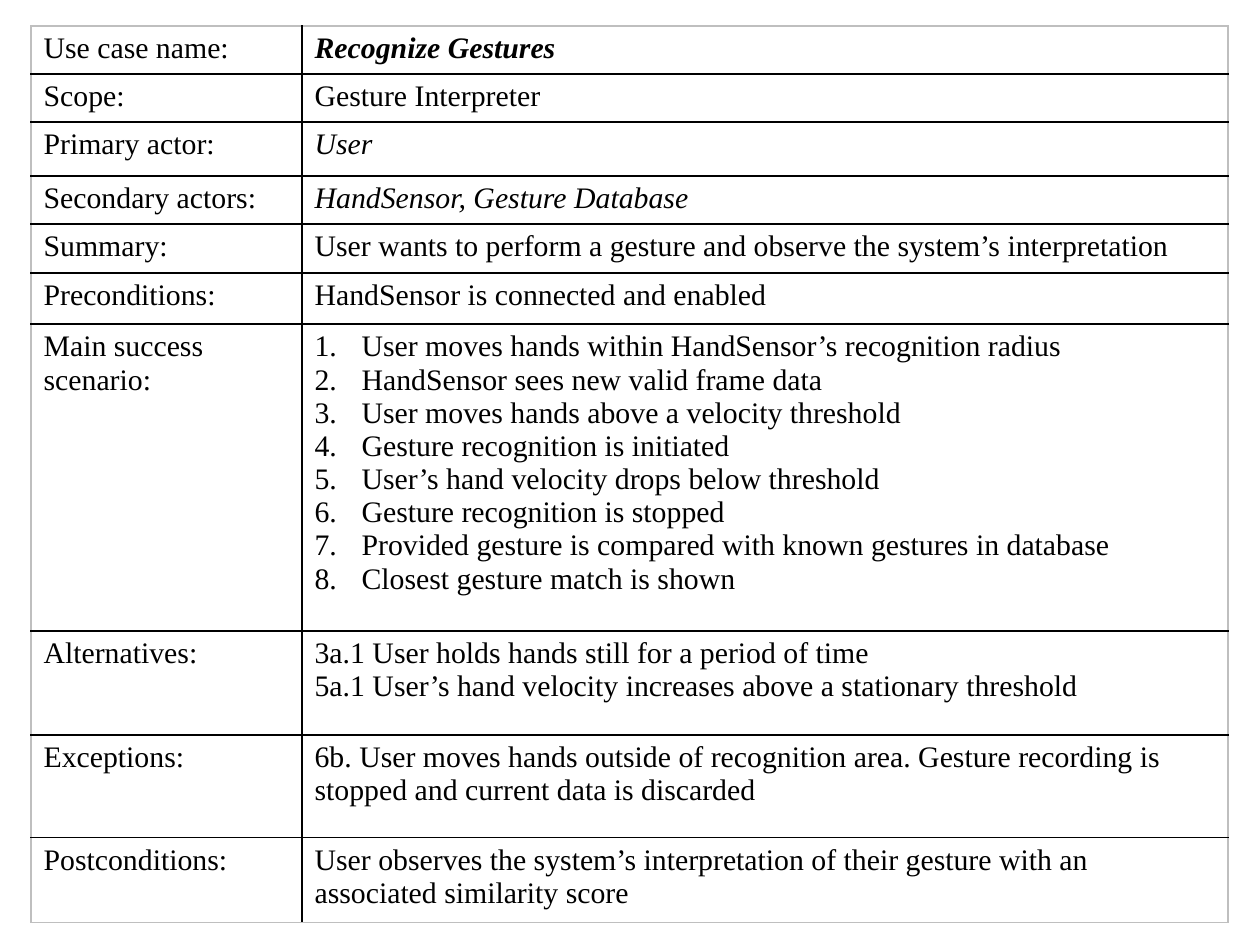
import dataclasses

import lxml.etree
import pptx
import pptx.dml.color
import pptx.oxml.ns
import pptx.util

SCALE = 914400 / 126
FONT = {"name": "Times New Roman", "size": pptx.util.Pt(17)}
INK, EDGE, PAPER = "000000", "BFBFBF", "FFFFFF"
INDENT = 47
COLUMN_WIDTHS = (271, 926)


@dataclasses.dataclass(frozen=True)
class UseCaseRow:
    """One labelled field of the use case."""

    label: str
    lines: tuple[str, ...]
    height: int
    style: dict = dataclasses.field(default_factory=dict)
    numbered: bool = False


ROWS = (
    UseCaseRow("Use case name:", ("Recognize Gestures",), 48, {"bold": True, "italic": True}),
    UseCaseRow("Scope:", ("Gesture Interpreter",), 48),
    UseCaseRow("Primary actor:", ("User",), 54, {"italic": True}),
    UseCaseRow("Secondary actors:", ("HandSensor, Gesture Database",), 48, {"italic": True}),
    UseCaseRow("Summary:", ("User wants to perform a gesture and observe the system’s interpretation",), 49),
    UseCaseRow("Preconditions:", ("HandSensor is connected and enabled",), 51),
    UseCaseRow(
        "Main success scenario:",
        (
            "User moves hands within HandSensor’s recognition radius",
            "HandSensor sees new valid frame data",
            "User moves hands above a velocity threshold",
            "Gesture recognition is initiated",
            "User’s hand velocity drops below threshold",
            "Gesture recognition is stopped",
            "Provided gesture is compared with known gestures in database",
            "Closest gesture match is shown",
        ),
        307,
        numbered=True,
    ),
    UseCaseRow(
        "Alternatives:",
        (
            "3a.1 User holds hands still for a period of time",
            "5a.1 User’s hand velocity increases above a stationary threshold",
        ),
        104,
    ),
    UseCaseRow(
        "Exceptions:",
        (
            "6b. User moves hands outside of recognition area. "
            "Gesture recording is stopped and current data is discarded",
        ),
        103,
    ),
    UseCaseRow(
        "Postconditions:",
        ("User observes the system’s interpretation of their gesture with an associated similarity score",),
        85,
    ),
)


def px(length: int) -> int:
    """Turn px into EMU."""
    return round(length * SCALE)


def color(value: str) -> pptx.dml.color.RGBColor:
    """Turn a hex string into a colour."""
    return pptx.dml.color.RGBColor.from_string(value)


def add_child(parent, tag: str, **attributes: str):
    """Append a DrawingML element."""
    return lxml.etree.SubElement(parent, pptx.oxml.ns.qn(tag), attributes)


def draw_borders(cell, sides: dict[str, str]) -> None:
    """Give each side of a cell a one-point line."""
    properties = cell._tc.get_or_add_tcPr()
    for position, (side, value) in enumerate(sides.items()):
        line = add_child(properties, f"a:ln{side}", w=str(pptx.util.Pt(1)))
        add_child(add_child(line, "a:solidFill"), "a:srgbClr", val=value)
        properties.insert(position, line)


def number_paragraph(para) -> None:
    """Make a paragraph an item of a numbered list."""
    properties = para._p.get_or_add_pPr()
    properties.set("marL", str(px(INDENT)))
    properties.set("indent", str(-px(INDENT)))
    add_child(properties, "a:buFont", typeface="+mj-lt")
    add_child(properties, "a:buAutoNum", type="arabicPeriod")


def write_cell(cell, lines: tuple[str, ...], style: dict, numbered: bool = False) -> None:
    """Fill a cell with one paragraph per line."""
    cell.fill.solid()
    cell.fill.fore_color.rgb = color(PAPER)
    frame = cell.text_frame
    for index, line in enumerate(lines):
        para = frame.add_paragraph() if index else frame.paragraphs[0]
        span = para.add_run()
        span.text = line
        for name, value in {**FONT, **style}.items():
            setattr(span.font, name, value)
        span.font.color.rgb = color(INK)
        if numbered:
            number_paragraph(para)


def draw_use_case(page, left: int, top: int) -> None:
    """Draw the use case table."""
    size = (sum(COLUMN_WIDTHS), sum(row.height for row in ROWS))
    table = page.shapes.add_table(len(ROWS), len(COLUMN_WIDTHS), *map(px, (left, top, *size))).table
    for name in ("first_row", "horz_banding"):
        setattr(table, name, False)
    for column, width in zip(table.columns, COLUMN_WIDTHS):
        column.width = px(width)
    for index, row in enumerate(ROWS):
        table.rows[index].height = px(row.height)
        label, content = table.cell(index, 0), table.cell(index, 1)
        write_cell(label, (row.label,), {})
        write_cell(content, row.lines, row.style, row.numbered)
        above = INK if index else EDGE
        below = INK if index < len(ROWS) - 1 else EDGE
        draw_borders(label, {"L": EDGE, "R": INK, "T": above, "B": below})
        draw_borders(content, {"L": INK, "R": EDGE, "T": above, "B": below})


def main() -> None:
    """Build and save the deck."""
    deck = pptx.Presentation()
    deck.slide_width, deck.slide_height = px(1260), px(945)
    page = deck.slides.add_slide(deck.slide_layouts[6])
    draw_use_case(page, 31, 26)
    deck.save("out.pptx")


if __name__ == "__main__":
    main()
